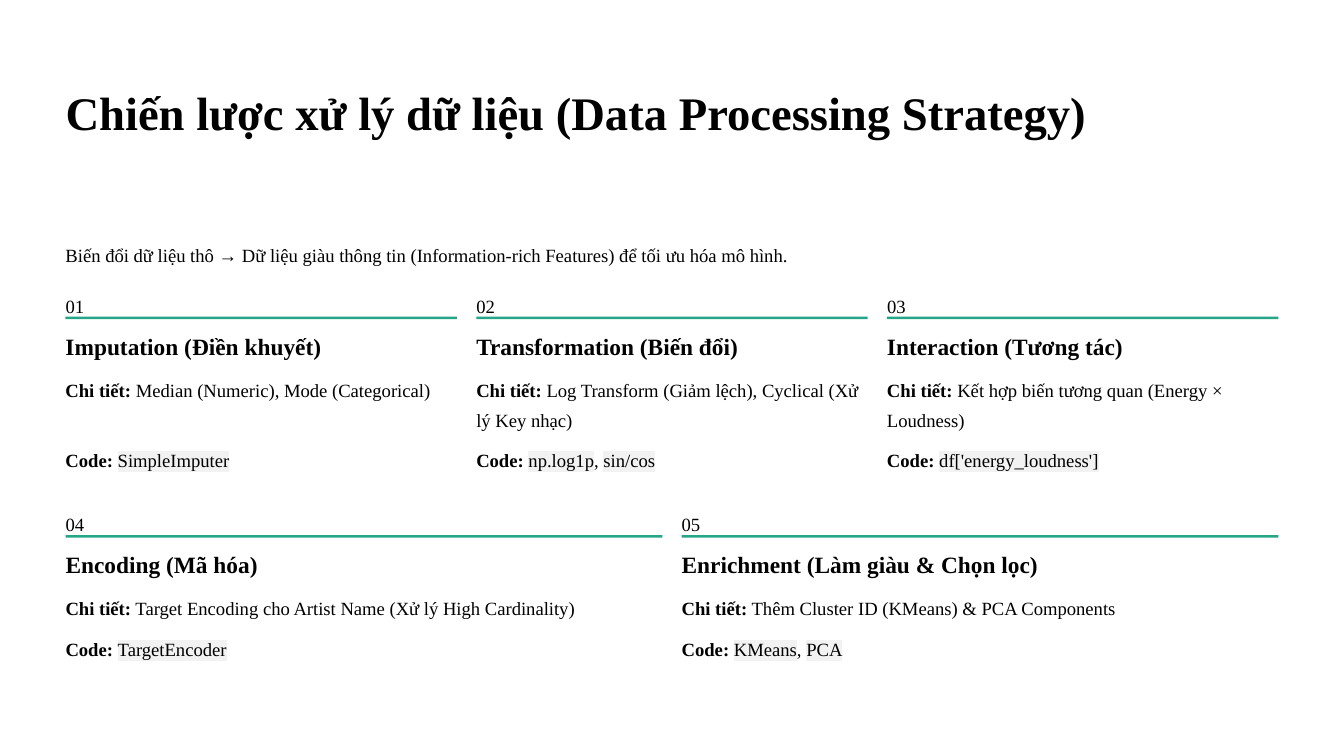
import pptx
import pptx.dml.color
import pptx.enum.shapes
import pptx.enum.text
import pptx.oxml
import pptx.oxml.ns
import pptx.util
from pptx.util import Inches

BLACK = pptx.dml.color.RGBColor(0x00, 0x00, 0x00)
WHITE = pptx.dml.color.RGBColor(0xFF, 0xFF, 0xFF)
GREEN = pptx.dml.color.RGBColor(0x26, 0xA6, 0x88)
GRAY = pptx.dml.color.RGBColor(0xF2, 0xF2, 0xF2)
FONT = "Times New Roman"
LEFT, WIDTH, GAP = 0.78, 14.44, 0.23

TITLE = "Chiến lược xử lý dữ liệu (Data Processing Strategy)"
SUBTITLE = ("Biến đổi dữ liệu thô → Dữ liệu giàu thông tin "
            "(Information-rich Features) để tối ưu hóa mô hình.")
TOP_STEPS = [
    ("01", "Imputation (Điền khuyết)",
     "Median (Numeric), Mode (Categorical)", ["SimpleImputer"]),
    ("02", "Transformation (Biến đổi)",
     "Log Transform (Giảm lệch), Cyclical (Xử lý Key nhạc)",
     ["np.log1p", "sin/cos"]),
    ("03", "Interaction (Tương tác)",
     "Kết hợp biến tương quan (Energy × Loudness)",
     ["df['energy_loudness']"]),
]
BOTTOM_STEPS = [
    ("04", "Encoding (Mã hóa)",
     "Target Encoding cho Artist Name (Xử lý High Cardinality)",
     ["TargetEncoder"]),
    ("05", "Enrichment (Làm giàu & Chọn lọc)",
     "Thêm Cluster ID (KMeans) & PCA Components", ["KMeans", "PCA"]),
]


def highlight(r):
    xml = (f'<a:highlight {pptx.oxml.ns.nsdecls("a")}>'
           f'<a:srgbClr val="{GRAY}"/></a:highlight>')
    fill = r.font._element.find(pptx.oxml.ns.qn("a:solidFill"))
    fill.addnext(pptx.oxml.parse_xml(xml))


def write(tf, runs, size, spacing, wrap=True):
    tf.margin_left = tf.margin_right = tf.margin_top = tf.margin_bottom = 0
    tf.word_wrap = wrap
    tf.auto_size = pptx.enum.text.MSO_AUTO_SIZE.NONE
    tf.vertical_anchor = pptx.enum.text.MSO_ANCHOR.TOP
    p = tf.paragraphs[0]
    p.alignment = pptx.enum.text.PP_ALIGN.LEFT
    p.line_spacing = pptx.util.Pt(spacing)
    for text, bold, marked in runs:
        r = p.add_run()
        r.text = text
        r.font.size = pptx.util.Pt(size)
        r.font.bold = bold
        r.font.color.rgb = BLACK
        r.font.name = FONT
        if marked:
            highlight(r)


def add_text(s, x, y, w, h, runs, size=16, spacing=25.5, wrap=True):
    sp = s.shapes.add_textbox(Inches(x), Inches(y), Inches(w), Inches(h))
    write(sp.text_frame, runs, size, spacing, wrap)


def add_rule(s, x, y, w):
    sp = s.shapes.add_shape(pptx.enum.shapes.MSO_SHAPE.RECTANGLE,
                            Inches(x), Inches(y), Inches(w), Inches(0.03))
    sp.shadow.inherit = False
    sp.fill.solid()
    sp.fill.fore_color.rgb = GREEN
    sp.line.fill.background()


def add_step(s, x, y, w, detail_height, step):
    number, heading, detail, names = step
    add_text(s, x, y, 0.22, 0.28, [(number, False, False)], wrap=False)
    add_rule(s, x, y + 0.35, w)
    add_text(s, x, y + 0.52, w, 0.35, [(heading, True, False)], 20, 25)
    add_text(s, x, y + 1, w, detail_height,
             [("Chi tiết:", True, False), (" " + detail, False, False)])
    code = [("Code: ", True, False)]
    for i, name in enumerate(names):
        if i:
            code.append((", ", False, False))
        code.append((name, False, True))
    add_text(s, x, y + 1.13 + detail_height, w, 0.36, code)


def add_row(s, y, detail_height, steps):
    w = (WIDTH - GAP * (len(steps) - 1)) / len(steps)
    for i, step in enumerate(steps):
        add_step(s, LEFT + i * (w + GAP), y, w, detail_height, step)


def main():
    prs = pptx.Presentation()
    prs.slide_width, prs.slide_height = Inches(16), Inches(9)
    s = prs.slides.add_slide(prs.slide_layouts[5])
    s.background.fill.solid()
    s.background.fill.fore_color.rgb = WHITE
    title = s.shapes.title
    title.left, title.top = Inches(LEFT), Inches(0.97)
    title.width, title.height = Inches(WIDTH), Inches(1.4)
    write(title.text_frame, [(TITLE, True, False)], 40, 50)
    add_text(s, LEFT, 2.81, WIDTH, 0.36, [(SUBTITLE, False, False)])
    add_row(s, 3.42, 0.71, TOP_STEPS)
    add_row(s, 6.02, 0.36, BOTTOM_STEPS)
    prs.save("out.pptx")


if __name__ == "__main__":
    main()
